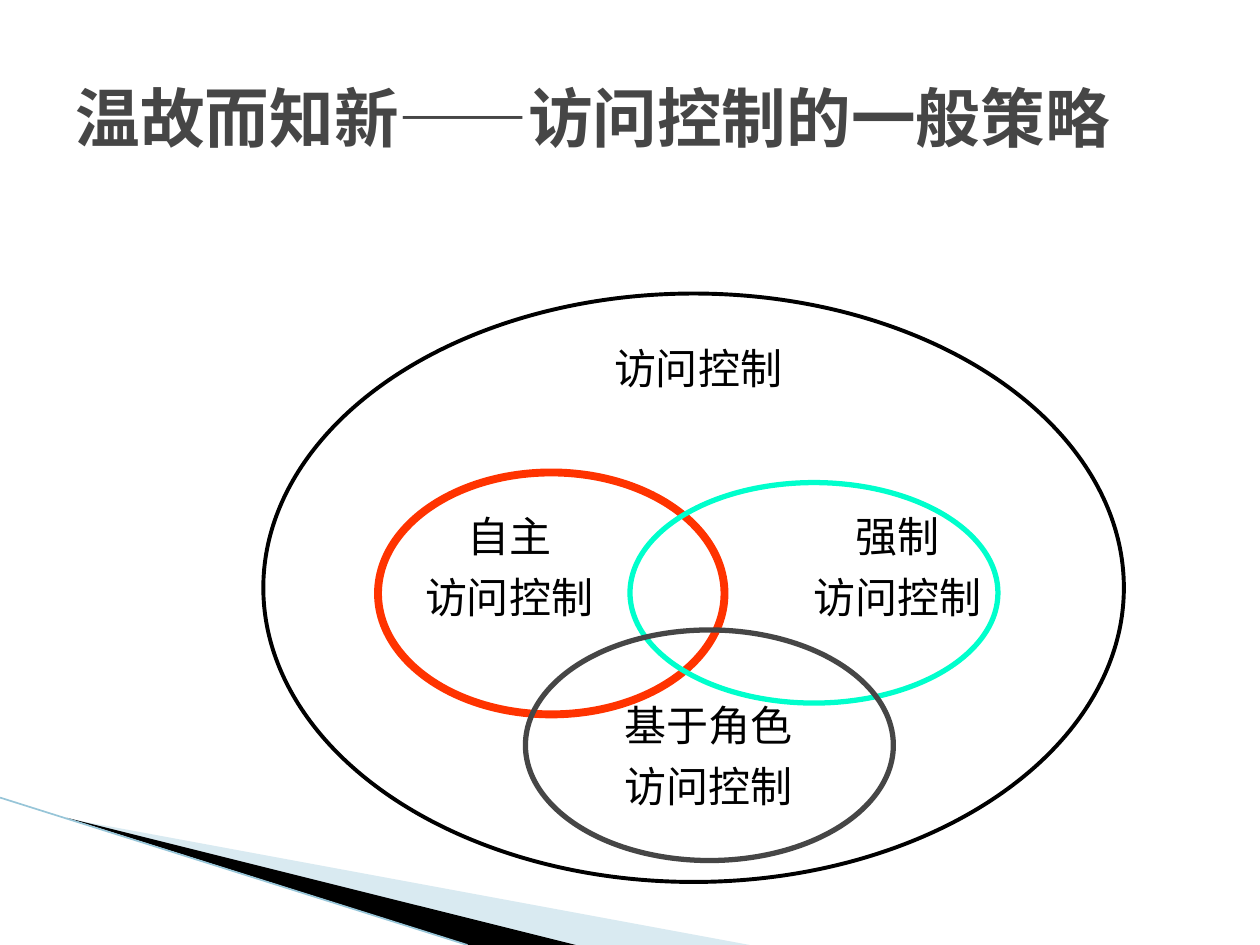
from dataclasses import dataclass

from lxml import etree
from pptx import Presentation
from pptx.dml.color import RGBColor as RGB
from pptx.enum.shapes import MSO_CONNECTOR as Connector, MSO_SHAPE as Shape
from pptx.enum.text import MSO_ANCHOR as Anchor, MSO_AUTO_SIZE as AutoSize, PP_ALIGN as Align
from pptx.oxml.ns import qn
from pptx.util import Inches, Pt


@dataclass(frozen=True)
class Theme:
    black: str = "000000"
    gray: str = "464646"
    red: str = "FF3300"
    mint: str = "00FFCC"
    pale_blue: str = "A0CBDC"
    edge_blue: str = "97C5D8"
    title_font: str = "Noto Sans Mono"
    label_font: str = "Times New Roman"
    title_size: float = 36.9
    label_size: float = 24
    label_gap: float = 6


def write_text(frame, text, *, font, size, color, bold=False, align=Align.LEFT, gap=0):
    """Fill a text frame, one paragraph per line of text."""
    for index, line in enumerate(text.split("\n")):
        para = frame.add_paragraph() if index else frame.paragraphs[0]
        para.alignment = align
        para.space_before = Pt(gap if index else 0)
        span = para.add_run()
        span.text = line
        span.font.name = font
        span.font.size = Pt(size)
        span.font.bold = bold
        span.font.color.rgb = RGB.from_string(color)


class SlideBuilder:
    def __init__(self, page, theme):
        self.page = page
        self.theme = theme

    def title(self, text, left, top, width, height):
        box = self.page.shapes.title
        box.left, box.top, box.width, box.height = map(Inches, (left, top, width, height))
        box.text_frame.vertical_anchor = Anchor.MIDDLE
        write_text(box.text_frame, text, font=self.theme.title_font,
                   size=self.theme.title_size, color=self.theme.gray, bold=True)

    def label(self, text, left, top, width, height):
        box = self.page.shapes.add_textbox(*map(Inches, (left, top, width, height)))
        box.text_frame.word_wrap = True
        box.text_frame.auto_size = AutoSize.SHAPE_TO_FIT_TEXT
        write_text(box.text_frame, text, font=self.theme.label_font,
                   size=self.theme.label_size, color=self.theme.black,
                   align=Align.CENTER, gap=self.theme.label_gap)

    def ring(self, left, top, width, height, color, weight):
        ring = self.page.shapes.add_shape(Shape.OVAL, *map(Inches, (left, top, width, height)))
        ring.shadow.inherit = False
        ring.fill.background()
        ring.line.color.rgb = RGB.from_string(color)
        ring.line.width = Pt(weight)

    def wedge(self, points, color, opacity=100):
        start, *rest = [(Inches(x), Inches(y)) for x, y in points]
        builder = self.page.shapes.build_freeform(*start)
        builder.add_line_segments(rest, close=True)
        wedge = builder.convert_to_shape()
        wedge.shadow.inherit = False
        wedge.line.fill.background()
        wedge.fill.solid()
        wedge.fill.fore_color.rgb = RGB.from_string(color)
        if opacity < 100:
            tint = wedge.fill._xPr.find(f"{qn('a:solidFill')}/{qn('a:srgbClr')}")
            etree.SubElement(tint, qn("a:alpha"), val=str(opacity * 1000))

    def line(self, start, end, color, weight):
        line = self.page.shapes.add_connector(
            Connector.STRAIGHT, *map(Inches, (*start, *end)))
        line.line.color.rgb = RGB.from_string(color)
        line.line.width = Pt(weight)
        etree.SubElement(line._element.spPr, qn("a:effectLst"))


def main():
    deck = Presentation()
    deck.slide_width, deck.slide_height = Inches(10), Inches(7.5)
    theme = Theme()
    slide = SlideBuilder(deck.slides.add_slide(deck.slide_layouts[5]), theme)

    # Corner decoration
    slide.wedge([(0.55, 6.5), (5.95, 7.5), (4.56, 7.5)], theme.pale_blue, opacity=40)
    slide.wedge([(0.53, 6.49), (4.57, 7.5), (3.72, 7.5)], theme.black)
    slide.line((0, 6.33), (3.71, 7.5), theme.edge_blue, 0.95)

    # Whole field of access control
    slide.ring(2.09, 2.33, 6.83, 4.67, theme.black, 2.25)

    # Policy names
    label_width = 1.58
    for text, left, top in [("自主\n访问控制", 3.25, 4),
                            ("强制\n访问控制", 6.33, 4),
                            ("基于角色\n访问控制", 4.83, 5.5)]:
        slide.label(text, left, top, label_width, 1.1)

    # Overlapping policy rings
    slide.ring(3, 3.75, 2.75, 1.92, theme.red, 4.5)
    slide.ring(5, 3.83, 2.92, 1.75, theme.mint, 3)
    slide.ring(4.17, 5, 2.92, 1.83, theme.gray, 3)

    # Field name and title
    slide.label("访问控制", 4.75, 2.67, label_width, 0.5)
    slide.title("温故而知新——访问控制的一般策略", 0.5, 0.3, 9, 1.25)

    deck.save("out.pptx")


if __name__ == "__main__":
    main()
